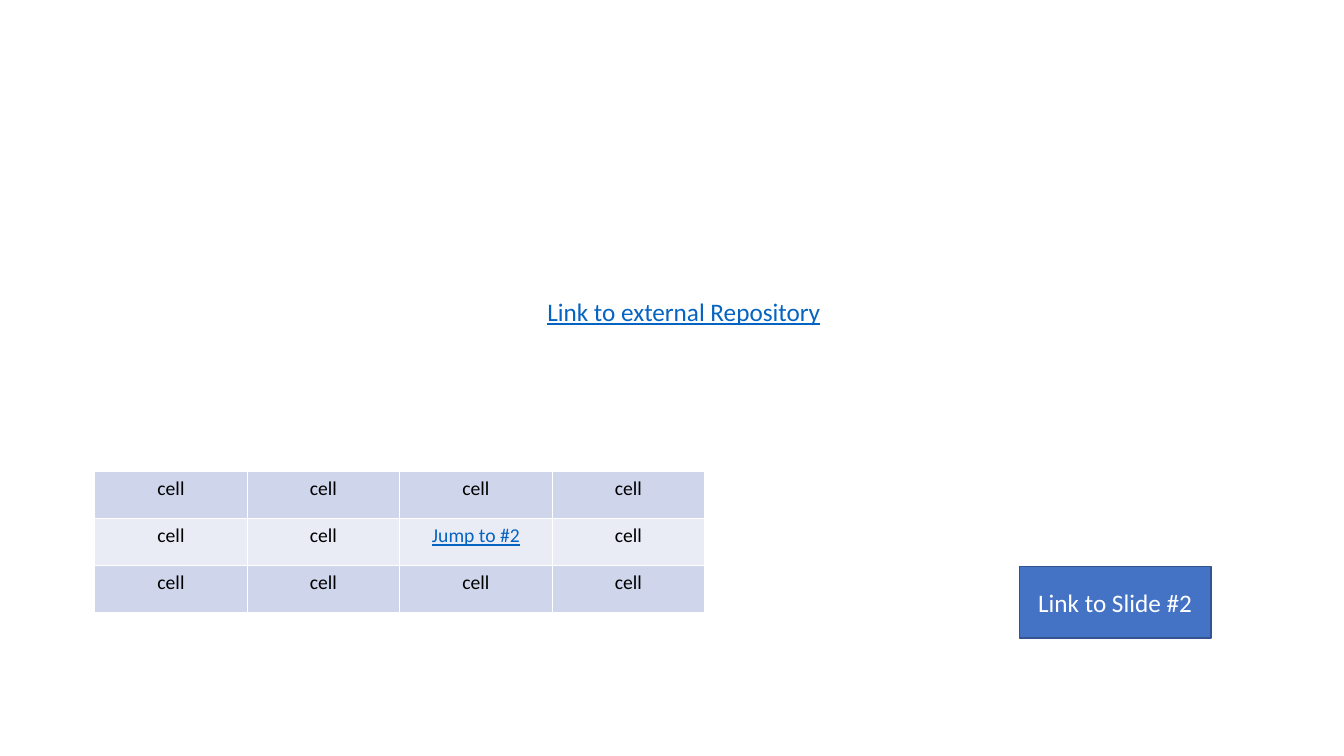
from lxml.etree import SubElement
from pptx import Presentation
from pptx.dml.color import RGBColor
from pptx.enum.shapes import MSO_SHAPE
from pptx.enum.text import MSO_ANCHOR, MSO_AUTO_SIZE, PP_ALIGN
from pptx.oxml.ns import qn
from pptx.util import Inches, Pt

REPOSITORY = "Link to external Repository"
BUTTON = "Link to Slide #2"
JUMP = "Jump to #2"
ROWS = [
    ["cell", "cell", "cell", "cell"],
    ["cell", "cell", JUMP, "cell"],
    ["cell", "cell", "cell", "cell"],
]

FONT = "Calibri"
WHITE = RGBColor(0xFF, 0xFF, 0xFF)
BLACK = RGBColor(0x00, 0x00, 0x00)
LINK = RGBColor(0x05, 0x63, 0xC1)
BLUE = RGBColor(0x44, 0x72, 0xC4)
EDGE = RGBColor(0x32, 0x54, 0x91)
BANDS = [RGBColor(0xCF, 0xD5, 0xEA), RGBColor(0xE9, 0xEB, 0xF5)]


def write(tf, text, size, color, align=PP_ALIGN.CENTER):
    """Write one formatted paragraph, underlined if it has the link colour."""
    p = tf.paragraphs[0]
    p.text = text
    p.alignment = align
    p.font.name = FONT
    p.font.size = Pt(size)
    p.font.color.rgb = color
    p.font.underline = color == LINK


def add_borders(cell):
    """Give a cell thin white borders on all four sides."""
    tcPr = cell._tc.get_or_add_tcPr()
    for side in ("a:lnL", "a:lnR", "a:lnT", "a:lnB"):
        ln = SubElement(tcPr, qn(side), w=str(Pt(1)))
        fill = SubElement(ln, qn("a:solidFill"))
        SubElement(fill, qn("a:srgbClr"), val=str(WHITE))


def add_repository_link(slide):
    """Add the text line that names the repository."""
    sp = slide.shapes.add_textbox(Inches(5.33), Inches(2.89), Inches(2.94), Inches(0.4))
    tf = sp.text_frame
    tf.word_wrap = False
    tf.auto_size = MSO_AUTO_SIZE.SHAPE_TO_FIT_TEXT
    write(tf, REPOSITORY, 18, LINK, PP_ALIGN.LEFT)


def add_button(slide):
    """Add the blue button."""
    sp = slide.shapes.add_shape(
        MSO_SHAPE.RECTANGLE, Inches(10.11), Inches(5.62), Inches(1.9), Inches(0.71))
    sp.shadow.inherit = False
    sp.fill.solid()
    sp.fill.fore_color.rgb = BLUE
    sp.line.color.rgb = EDGE
    sp.line.width = Pt(1)
    sp.text_frame.vertical_anchor = MSO_ANCHOR.MIDDLE
    write(sp.text_frame, BUTTON, 18, WHITE)


def add_cells(slide):
    """Add the banded table."""
    table = slide.shapes.add_table(
        len(ROWS), len(ROWS[0]), Inches(0.94), Inches(4.68), Inches(6.05), Inches(1.4)).table
    table.first_row = False
    for i, row in enumerate(ROWS):
        for j, text in enumerate(row):
            cell = table.cell(i, j)
            add_borders(cell)
            cell.fill.solid()
            cell.fill.fore_color.rgb = BANDS[i % 2]
            write(cell.text_frame, text, 14, LINK if text == JUMP else BLACK)


def main():
    """Build the slide and save it."""
    prs = Presentation()
    prs.slide_width = Inches(13.33)
    prs.slide_height = Inches(7.5)
    slide = prs.slides.add_slide(prs.slide_layouts[6])
    add_repository_link(slide)
    add_button(slide)
    add_cells(slide)
    prs.save("out.pptx")


if __name__ == "__main__":
    main()
